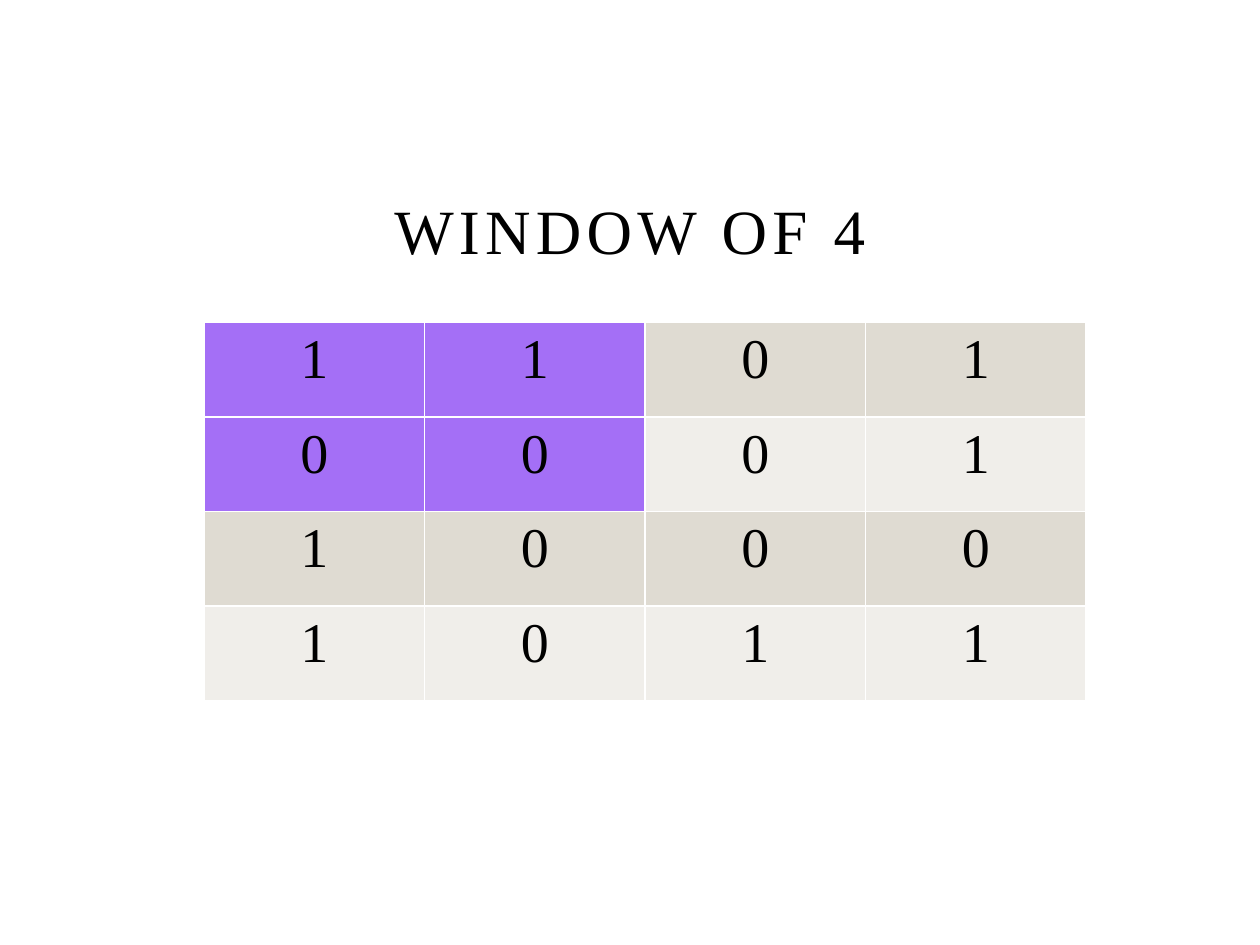
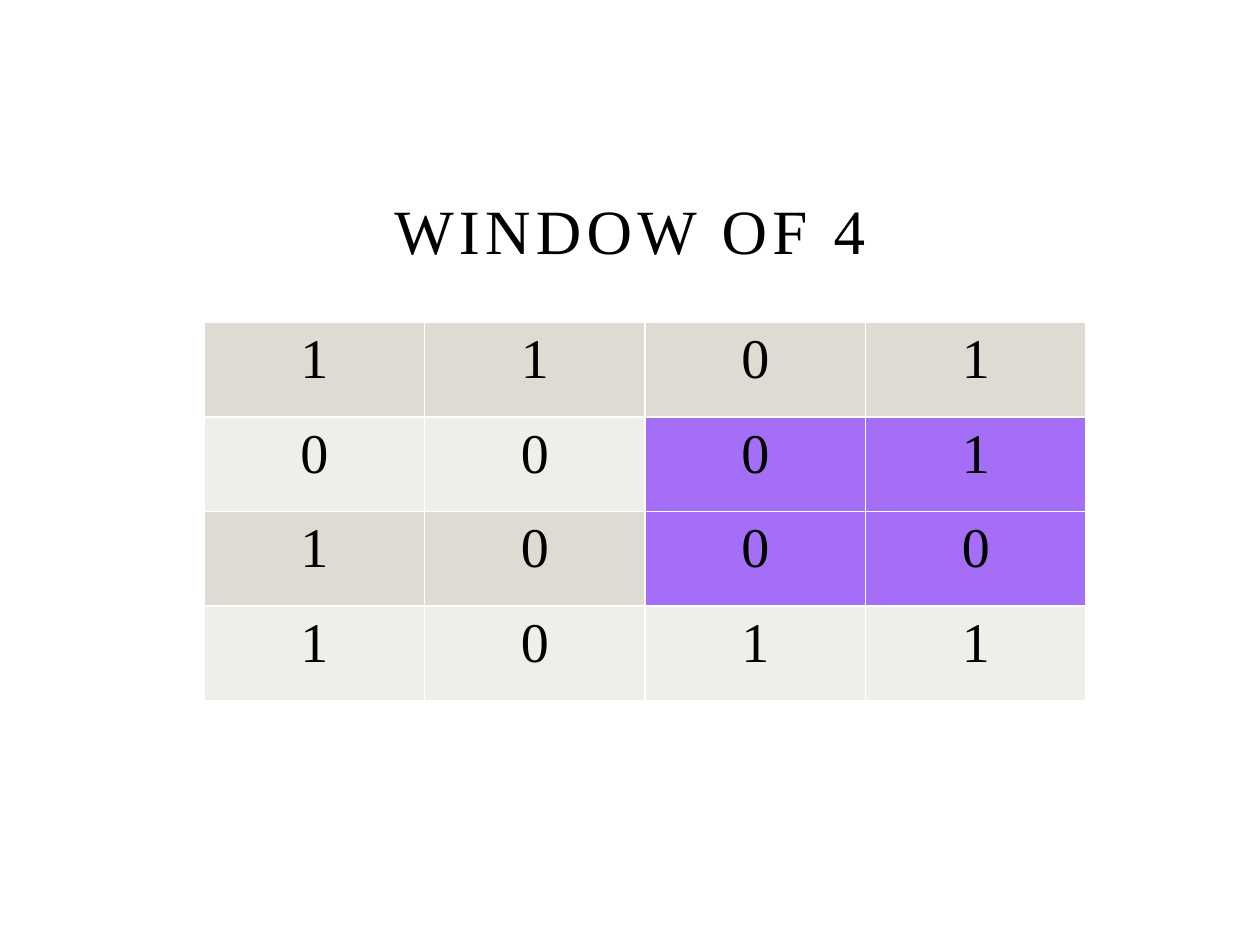
import dataclasses

import pptx
import pptx.dml.color
import pptx.enum.text
import pptx.oxml
import pptx.oxml.ns
import pptx.util

Inches = pptx.util.Inches
Pt = pptx.util.Pt
RGB = pptx.dml.color.RGBColor.from_string
CENTER = pptx.enum.text.PP_ALIGN.CENTER


@dataclasses.dataclass(frozen=True)
class Theme:
    font: str = "Times New Roman"
    ink: str = "000000"
    window: str = "A46FF6"
    bands: tuple = ("DFDBD2", "F0EEEA")
    border: str = "FFFFFF"
    rule: float = 1
    title: int = 36
    digit: int = 32
    spacing: int = 3


class Deck:
    def __init__(self, theme):
        self.theme = theme
        self.file = pptx.Presentation()
        self.file.slide_width = Inches(10)
        self.file.slide_height = Inches(7.5)
        self.slide = None

    def page(self):
        self.slide = self.file.slides.add_slide(self.file.slide_layouts[6])

    def label(self, frame, text, size):
        line = frame.paragraphs[0]
        line.alignment = CENTER
        run = line.add_run()
        run.text = text
        style = {"name": self.theme.font, "size": Pt(size)}
        for name, value in style.items():
            setattr(run.font, name, value)
        run.font.color.rgb = RGB(self.theme.ink)
        return run

    def title(self, text):
        box = self.slide.shapes.add_textbox(
            Inches(1.5), Inches(1.42), Inches(7), Inches(0.75))
        frame = box.text_frame
        style = {"word_wrap": True,
                 "vertical_anchor": pptx.enum.text.MSO_ANCHOR.BOTTOM}
        for name, value in style.items():
            setattr(frame, name, value)
        run = self.label(frame, text, self.theme.title)
        run.font._element.set("spc", str(self.theme.spacing * 100))

    def border(self, cell):
        """Draw all four cell edges; they must come before the fill in the XML."""
        props = cell._tc.get_or_add_tcPr()
        for index, side in enumerate(("lnL", "lnR", "lnT", "lnB")):
            edge = pptx.oxml.parse_xml(
                f'<a:{side} {pptx.oxml.ns.nsdecls("a")} w="{Pt(self.theme.rule)}">'
                f'<a:solidFill><a:srgbClr val="{self.theme.border}"/></a:solidFill>'
                f'</a:{side}>')
            props.insert(index, edge)

    def grid(self, rows, top, left, span=2):
        """Add the bit table with a span-by-span window starting at (top, left)."""
        wide, high = len(rows[0]), len(rows)
        table = self.slide.shapes.add_table(
            high, wide, Inches(1.62), Inches(2.56),
            Inches(1.75 * wide), Inches(0.75 * high)).table
        for name in ("first_row", "horz_banding"):
            setattr(table, name, False)
        for r, row in enumerate(rows):
            for c, digit in enumerate(row):
                cell = table.cell(r, c)
                inside = top <= r < top + span and left <= c < left + span
                color = self.theme.window if inside else self.theme.bands[r % 2]
                cell.fill.solid()
                cell.fill.fore_color.rgb = RGB(color)
                self.border(cell)
                self.label(cell.text_frame, digit, self.theme.digit)


BITS = ("1101", "0001", "1000", "1011")
CORNERS = ((0, 0), (1, 2))


def main():
    deck = Deck(Theme())
    for top, left in CORNERS:
        deck.page()
        deck.title("WINDOW OF 4")
        deck.grid(BITS, top, left)
    deck.file.save("out.pptx")


if __name__ == "__main__":
    main()
